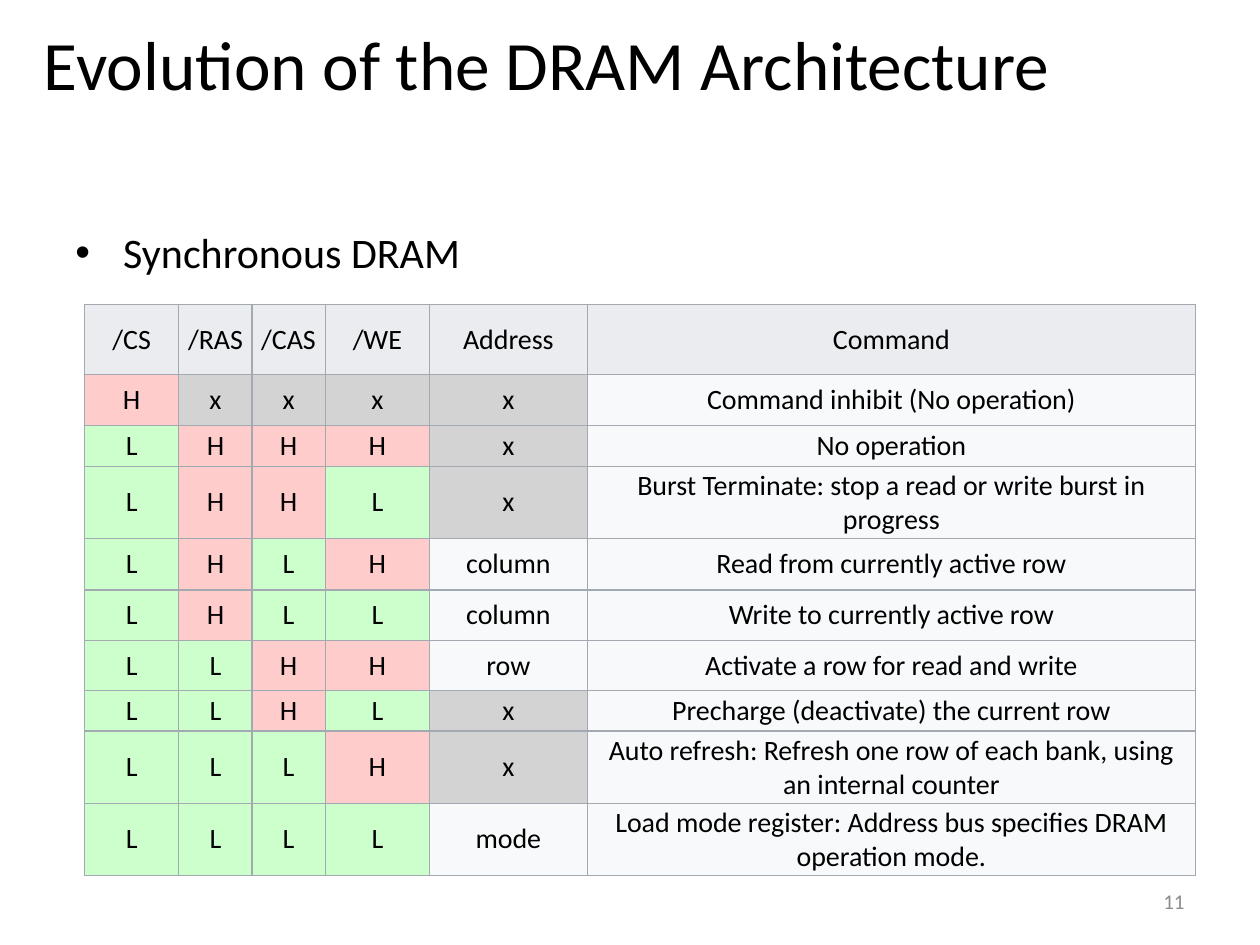
from dataclasses import dataclass, field

from lxml import etree
from pptx import Presentation
from pptx.dml.color import RGBColor
from pptx.enum.text import MSO_ANCHOR, PP_ALIGN
from pptx.oxml.ns import qn
from pptx.util import Inches, Pt

LEFT, CENTER, RIGHT = PP_ALIGN.LEFT, PP_ALIGN.CENTER, PP_ALIGN.RIGHT
TOP, MIDDLE = MSO_ANCHOR.TOP, MSO_ANCHOR.MIDDLE


@dataclass(frozen=True)
class Theme:
    font: str = "Calibri"
    title_size: float = 39.6
    body_size: float = 24
    table_size: float = 16
    number_size: float = 12
    ink: str = "000000"
    muted: str = "8C8C8C"
    border: str = "A2A9B1"
    border_width: float = 0.75
    header_fill: str = "EAECF0"
    cell_fill: str = "F8F9FA"
    signal_fills: dict = field(default_factory=lambda: {
        "H": "FFCCCC", "L": "CCFFCC", "x": "D3D3D3"})


@dataclass(frozen=True)
class Label:
    text: str
    left: float
    top: float
    width: float
    height: float
    size: float
    color: str
    align: PP_ALIGN = LEFT
    anchor: MSO_ANCHOR = TOP
    bullet_indent: float = 0


@dataclass(frozen=True)
class Command:
    signals: str  # levels of /CS, /RAS, /CAS and /WE
    address: str
    meaning: str
    height: float

    def cells(self) -> list[str]:
        return [*self.signals, self.address, self.meaning]


THEME = Theme()

LABELS = [
    Label("Evolution of the DRAM Architecture", 0.25, 0, 9, 1,
          THEME.title_size, THEME.ink, anchor=MIDDLE),
    Label("Synchronous DRAM", 0.5, 1.75, 9, 0.6,
          THEME.body_size, THEME.ink, bullet_indent=0.38),
    Label("11", 7.17, 6.95, 2.33, 0.4,
          THEME.number_size, THEME.muted, RIGHT, MIDDLE),
]

HEADERS = ["/CS", "/RAS", "/CAS", "/WE", "Address", "Command"]
HEADER_HEIGHT = 0.55
COLUMN_WIDTHS = [0.75, 0.58, 0.58, 0.83, 1.25, 4.83]
TABLE_LEFT, TABLE_TOP = 0.67, 2.42

COMMANDS = [
    Command("Hxxx", "x", "Command inhibit (No operation)", 0.41),
    Command("LHHH", "x", "No operation", 0.32),
    Command("LHHL", "x",
            "Burst Terminate: stop a read or write burst in progress", 0.55),
    Command("LHLH", "column", "Read from currently active row", 0.41),
    Command("LHLL", "column", "Write to currently active row", 0.4),
    Command("LLHH", "row", "Activate a row for read and write", 0.4),
    Command("LLHL", "x", "Precharge (deactivate) the current row", 0.32),
    Command("LLLH", "x",
            "Auto refresh: Refresh one row of each bank, using an internal counter", 0.55),
    Command("LLLL", "mode",
            "Load mode register: Address bus specifies DRAM operation mode.", 0.55),
]


def set_attributes(target, values: dict) -> None:
    for name, value in values.items():
        setattr(target, name, value)


def write_text(para, text: str, size: float, color: str, align: PP_ALIGN) -> None:
    para.alignment = align
    span = para.add_run()
    span.text = text
    set_attributes(span.font, {"name": THEME.font, "size": Pt(size), "bold": False})
    span.font.color.rgb = RGBColor.from_string(color)


def add_bullet(para, indent: float) -> None:
    properties = para._p.get_or_add_pPr()
    properties.set("marL", str(Inches(indent)))
    properties.set("indent", str(-Inches(indent)))
    etree.SubElement(properties, qn("a:buFont"), typeface="Arial")
    etree.SubElement(properties, qn("a:buChar"), char="•")


def add_label(page, label: Label) -> None:
    box = page.shapes.add_textbox(Inches(label.left), Inches(label.top),
                                  Inches(label.width), Inches(label.height))
    set_attributes(box.text_frame, {"word_wrap": True, "vertical_anchor": label.anchor})
    para = box.text_frame.paragraphs[0]
    if label.bullet_indent:
        add_bullet(para, label.bullet_indent)
    write_text(para, label.text, label.size, label.color, label.align)


def add_borders(cell) -> None:
    properties = cell._tc.get_or_add_tcPr()
    for side in ("a:lnL", "a:lnR", "a:lnT", "a:lnB"):
        line = etree.SubElement(properties, qn(side), w=str(Pt(THEME.border_width)))
        fill = etree.SubElement(line, qn("a:solidFill"))
        etree.SubElement(fill, qn("a:srgbClr"), val=THEME.border)


def fill_cell(cell, text: str, color: str) -> None:
    set_attributes(cell, {
        "vertical_anchor": MIDDLE,
        "margin_left": Inches(0.04), "margin_right": Inches(0.04),
        "margin_top": Inches(0.02), "margin_bottom": Inches(0.02),
    })
    add_borders(cell)
    cell.fill.solid()
    cell.fill.fore_color.rgb = RGBColor.from_string(color)
    write_text(cell.text_frame.paragraphs[0], text, THEME.table_size, THEME.ink, CENTER)


def add_command_table(page) -> None:
    heights = [HEADER_HEIGHT] + [command.height for command in COMMANDS]
    table = page.shapes.add_table(
        len(heights), len(HEADERS), Inches(TABLE_LEFT), Inches(TABLE_TOP),
        Inches(sum(COLUMN_WIDTHS)), Inches(sum(heights))).table
    set_attributes(table, {"first_row": False, "horz_banding": False})
    for column, width in zip(table.columns, COLUMN_WIDTHS):
        column.width = Inches(width)
    for row, height in zip(table.rows, heights):
        row.height = Inches(height)

    # Header row, then one row for each command
    for cell, text in zip(table.rows[0].cells, HEADERS):
        fill_cell(cell, text, THEME.header_fill)
    for index, command in enumerate(COMMANDS, start=1):
        for cell, text in zip(table.rows[index].cells, command.cells()):
            fill_cell(cell, text, THEME.signal_fills.get(text, THEME.cell_fill))


def main() -> None:
    deck = Presentation()
    set_attributes(deck, {"slide_width": Inches(10), "slide_height": Inches(7.5)})
    page = deck.slides.add_slide(deck.slide_layouts[6])
    for label in LABELS:
        add_label(page, label)
    add_command_table(page)
    deck.save("out.pptx")


if __name__ == "__main__":
    main()
